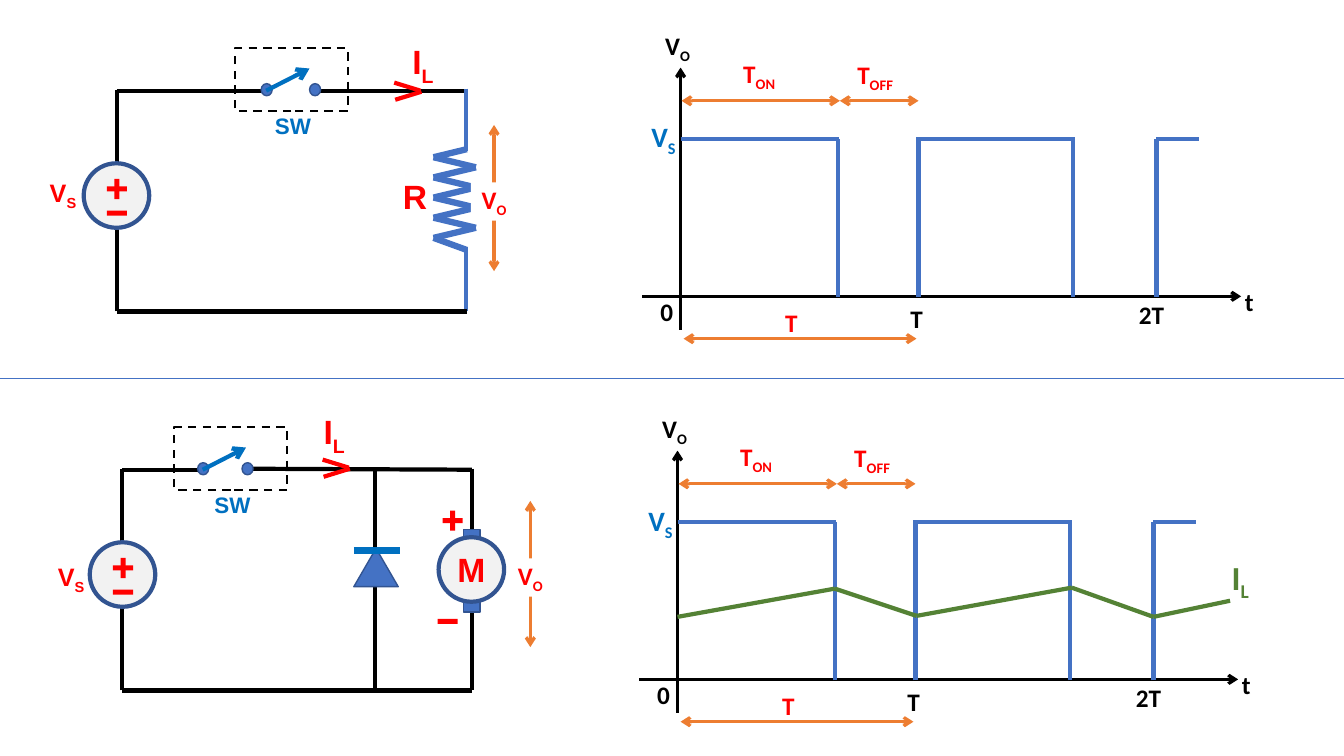
from itertools import pairwise

from lxml import etree
from pptx import Presentation
from pptx.dml.color import RGBColor
from pptx.enum.dml import MSO_LINE
from pptx.enum.shapes import MSO_CONNECTOR, MSO_SHAPE
from pptx.enum.text import MSO_ANCHOR, MSO_AUTO_SIZE, PP_ALIGN
from pptx.oxml.ns import qn
from pptx.util import Cm, Pt

STRAIGHT = MSO_CONNECTOR.STRAIGHT
RECT = MSO_SHAPE.RECTANGLE
OVAL = MSO_SHAPE.OVAL
CONE = MSO_SHAPE.ISOSCELES_TRIANGLE
DASH = MSO_LINE.DASH
MIDDLE = MSO_ANCHOR.MIDDLE
GROW = MSO_AUTO_SIZE.SHAPE_TO_FIT_TEXT
CENTER = PP_ALIGN.CENTER

BLACK, WHITE, GREY = "000000", "FFFFFF", "F2F2F2"
RED, ORANGE, GREEN = "FF0000", "ED7D31", "548235"
BLUE, NAVY, AZURE = "4472C4", "325491", "0070C0"


def units(*nums):
    """Turn inches into lengths."""
    return [Cm(2.54 * num) for num in nums]


def paint(target, color):
    """Set a solid colour on a fill, or clear it."""
    if color is None:
        target.background()
    else:
        target.solid()
        target.fore_color.rgb = RGBColor.from_string(color)


def line(slide, start, end, color=BLACK, width=3, head=False, tail=False):
    """Draw a straight line, with open arrowheads where asked."""
    link = slide.shapes.add_connector(STRAIGHT, *units(*start, *end))
    paint(link.line.fill, color)
    link.line.width = Pt(width)
    edge = link.line._get_or_add_ln()
    for name, shown in (("a:headEnd", head), ("a:tailEnd", tail)):
        if shown:
            etree.SubElement(edge, qn(name)).set("type", "arrow")
    etree.SubElement(link._element.spPr, qn("a:effectLst"))


def chain(slide, points, **style):
    """Draw lines from point to point."""
    for start, end in pairwise(points):
        line(slide, start, end, **style)


def span(slide, start, end):
    """Draw an orange arrow with two heads."""
    line(slide, start, end, ORANGE, 2.25, head=True, tail=True)


def shape(slide, kind, box, fill=None, edge=None, width=1, dash=None, turn=0):
    """Add a preset shape without a shadow."""
    item = slide.shapes.add_shape(kind, *units(*box))
    item.shadow.inherit = False
    item.rotation = turn
    paint(item.fill, fill)
    paint(item.line.fill, edge)
    if edge:
        item.line.width = Pt(width)
    if dash:
        item.line.dash_style = dash
    return item


def text(slide, box, main, sub="", size=18, font="Calibri", color=RED, fill=None):
    """Add a bold centred label with an optional subscript."""
    if fill:
        item = shape(slide, RECT, box, fill)
    else:
        item = slide.shapes.add_textbox(*units(*box))
    frame = item.text_frame
    frame.word_wrap = True
    frame.auto_size = GROW
    frame.vertical_anchor = MIDDLE
    para = frame.paragraphs[0]
    para.alignment = CENTER
    for words, base in ((main, None), (sub, "-25000")):
        if not words:
            continue
        run = para.add_run()
        run.text = words
        run.font.size = Pt(size)
        run.font.name = font
        run.font.bold = True
        run.font.color.rgb = RGBColor.from_string(color)
        if base:
            run.font._element.set("baseline", base)


def minus(slide, x, y, turn=0):
    """Draw a red bar."""
    shape(slide, RECT, (x, y, 0.2, 0.05), RED, turn=turn)


def plus(slide, x, y):
    """Draw a red plus from two bars."""
    minus(slide, x, y)
    minus(slide, x, y, turn=90)


def disc(slide, x, y):
    """Draw the round body of a source or a motor."""
    shape(slide, OVAL, (x, y, 0.65, 0.64), GREY, NAVY, 3)


def source(slide, x, y):
    """Draw the voltage source."""
    disc(slide, x, y)
    plus(slide, x + 0.23, y + 0.23)
    minus(slide, x + 0.23, y + 0.47)


def switch(slide, x, y, dots):
    """Draw the open switch in its dashed box; dots are offsets from x."""
    for dot in dots:
        shape(slide, OVAL, (x + dot, y + 0.35, 0.11, 0.12), BLUE, NAVY)
    pin = x + dots[0] + 0.05
    line(slide, (pin, y + 0.42), (pin + 0.43, y + 0.2), AZURE, tail=True)
    shape(slide, RECT, (x, y, 1.12, 0.62), edge=BLACK, width=1.5, dash=DASH)
    text(slide, (x + 0.2, y + 0.6, 0.75, 0.34), "SW", size=16, font="Arial", color=AZURE)


def current(slide, x, y, label):
    """Draw the mark of the load current and its label."""
    line(slide, (x, y), (x + 0.26, y + 0.08), RED)
    line(slide, (x + 0.01, y + 0.17), (x + 0.27, y + 0.09), RED)
    text(slide, (*label, 0.75, 0.47), "I", "L", size=24, font="Arial")


def output(slide, x, y):
    """Draw the arrow of the output voltage with its label."""
    span(slide, (x, y + 1.45), (x, y))
    text(slide, (x - 0.23, y + 0.57, 0.46, 0.38), "V", "O", fill=WHITE)


def coil(slide):
    """Draw the resistor with its leads."""
    teeth = [(4.72 if i % 2 else 4.3, 1.56 + 0.1 * i) for i in range(9)]
    chain(slide, [(4.63, 1.48), *teeth, (4.63, 2.48)], color=BLUE, width=4.5)
    for top, end in ((0.88, 1.5), (2.45, 3.09)):
        line(slide, (4.62, top), (4.62, end), BLUE)
    text(slide, (3.74, 1.71, 0.75, 0.47), "R", size=24, font="Arial")


def motor(slide):
    """Draw the motor with its brushes and signs."""
    shape(slide, RECT, (4.6, 5.25, 0.16, 0.82), BLUE, NAVY)
    disc(slide, 4.35, 5.33)
    text(slide, (4.3, 5.4, 0.75, 0.5), "M", size=24, font="Arial")
    plus(slide, 4.39, 5.14)
    minus(slide, 4.34, 6.14)


def diode(slide):
    """Draw the diode branch."""
    line(slide, (3.72, 6.83), (3.72, 4.63))
    shape(slide, CONE, (3.51, 5.44, 0.44, 0.38), BLUE, NAVY)
    line(slide, (3.51, 5.46), (3.97, 5.46), AZURE, 4.5)


def plot(slide, x, y):
    """Draw the voltage graph; x and y mark the origin of its axes."""
    line(slide, (x, y + 0.33), (x, y - 2.27), width=2.25, tail=True)
    line(slide, (x - 0.38, y), (x + 5.56, y), width=2.25, tail=True)
    top = y - 1.56
    for left, right in ((0, 1.57), (2.34, 3.91), (4.72, 5.14)):
        line(slide, (x + left, top), (x + right, top), BLUE)
    for step in (1.56, 2.36, 3.89, 4.72):
        line(slide, (x + step, y + 0.01), (x + step, top), BLUE)
    for left, right, drop in ((0.01, 1.58, -1.94), (1.58, 2.36, -1.94), (0.03, 2.34, 0.42)):
        span(slide, (x + left, y + drop), (x + right, y + drop))

    labels = (
        (0.43, -2.39, 0.7, "T", "ON", RED, WHITE),
        (1.58, -2.38, 0.7, "T", "OFF", RED, None),
        (-0.3, -0.05, 0.32, "0", "", BLACK, None),
        (2.18, 0.02, 0.32, "T", "", BLACK, None),
        (4.38, -0.02, 0.58, "2T", "", BLACK, None),
        (-0.38, -2.67, 0.7, "V", "O", BLACK, WHITE),
        (0.75, 0.06, 0.7, "T", "", RED, None),
        (4.99, -0.15, 1.3, "t", "", BLACK, None),
    )
    for left, drop, wide, main, sub, color, fill in labels:
        text(slide, (x + left, y + drop, wide, 0.4), main, sub, color=color, fill=fill)
    text(slide, (x - 0.46, y - 1.78, 0.58, 0.44), "V", "S", size=20, color=AZURE)


def load(slide):
    """Draw the circuit with the resistor."""
    line(slide, (1.16, 0.9), (2.64, 0.9))
    line(slide, (3.14, 0.9), (4.63, 0.9))
    coil(slide)
    chain(slide, [(4.63, 3.09), (1.16, 3.09), (1.16, 0.89)])
    switch(slide, 2.33, 0.48, (0.26, 0.74))
    source(slide, 0.83, 1.62)
    text(slide, (0.25, 1.73, 0.75, 0.4), "V", "S", font="Arial")
    output(slide, 4.9, 1.24)
    current(slide, 3.91, 0.82, (3.82, 0.4))


def drive(slide):
    """Draw the circuit with the motor and the diode."""
    line(slide, (1.21, 4.66), (2.01, 4.66))
    line(slide, (2.43, 4.65), (4.68, 4.66))
    chain(slide, [(4.68, 4.65), (4.68, 6.85), (1.21, 6.85), (1.21, 4.65)])
    switch(slide, 1.73, 4.24, (0.23, 0.67))
    source(slide, 0.89, 5.38)
    text(slide, (0.33, 5.54, 0.75, 0.4), "V", "S", font="Arial")
    current(slide, 3.2, 4.56, (2.94, 4.07))
    output(slide, 5.26, 4.97)
    motor(slide)
    diode(slide)


def main():
    """Build the slide and save it."""
    deck = Presentation()
    deck.slide_width, deck.slide_height = units(13.33, 7.5)
    slide = deck.slides.add_slide(deck.slide_layouts[6])
    load(slide)
    plot(slide, 6.75, 2.94)
    line(slide, (0, 3.75), (13.33, 3.75), BLUE, 0.5)
    plot(slide, 6.72, 6.74)
    wave = [(6.72, 6.12), (8.28, 5.84), (9.09, 6.11), (10.63, 5.83), (11.44, 6.12), (12.2, 5.96)]
    chain(slide, wave, color=GREEN)
    text(slide, (12.01, 5.5, 0.58, 0.5), "I", "L", size=24, color=GREEN)
    drive(slide)
    deck.save("out.pptx")


main()
